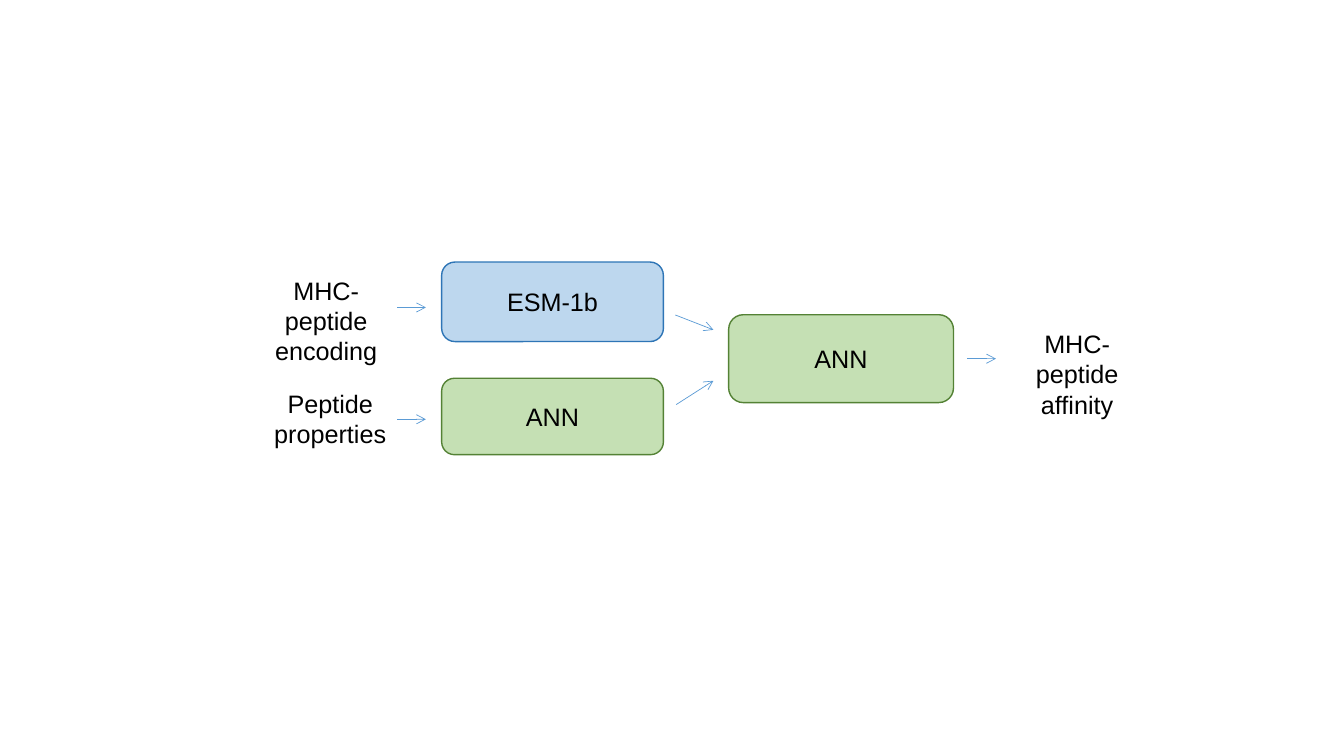
from lxml.etree import SubElement
from pptx import Presentation
from pptx.dml.color import RGBColor
from pptx.enum.shapes import MSO_CONNECTOR, MSO_SHAPE
from pptx.enum.text import MSO_ANCHOR, MSO_AUTO_SIZE, PP_ALIGN
from pptx.oxml.ns import qn
from pptx.util import Pt

COLORS = {
    "text": "000000",
    "arrow": "5B9BD5",
    "language_fill": "BDD7EE",
    "language_line": "2E75B6",
    "network_fill": "C5E0B4",
    "network_line": "548235",
}


def color(name):
    return RGBColor.from_string(COLORS[name])


def write_text(frame, text, size=18, font="Arial", ink="text", align=PP_ALIGN.CENTER, anchor=MSO_ANCHOR.TOP):
    frame.word_wrap = True
    frame.vertical_anchor = anchor
    para = frame.paragraphs[0]
    para.alignment = align
    span = para.add_run()
    span.text = text
    span.font.size = Pt(size)
    span.font.name = font
    span.font.color.rgb = color(ink)


class Diagram:
    box_line = 1
    arrow_line = 0.5

    def __init__(self, slide):
        self.slide = slide

    def model(self, text, kind, left, top, width, height):
        box = self.slide.shapes.add_shape(
            MSO_SHAPE.ROUNDED_RECTANGLE, Pt(left), Pt(top), Pt(width), Pt(height))
        box.shadow.inherit = False
        box.fill.solid()
        box.fill.fore_color.rgb = color(kind + "_fill")
        box.line.color.rgb = color(kind + "_line")
        box.line.width = Pt(self.box_line)
        write_text(box.text_frame, text, anchor=MSO_ANCHOR.MIDDLE)

    def label(self, text, left, top, width=116, height=51):
        box = self.slide.shapes.add_textbox(Pt(left), Pt(top), Pt(width), Pt(height))
        write_text(box.text_frame, text)
        box.text_frame.auto_size = MSO_AUTO_SIZE.SHAPE_TO_FIT_TEXT

    def arrow(self, left, top, right, bottom):
        connector = self.slide.shapes.add_connector(
            MSO_CONNECTOR.STRAIGHT, Pt(left), Pt(top), Pt(right), Pt(bottom))
        connector.line.color.rgb = color("arrow")
        connector.line.width = Pt(self.arrow_line)
        SubElement(connector.line._get_or_add_ln(), qn("a:tailEnd"), type="arrow")
        SubElement(connector._element.spPr, qn("a:effectLst"))


deck = Presentation()
deck.slide_width, deck.slide_height = Pt(960), Pt(540)
page = Diagram(deck.slides.add_slide(deck.slide_layouts[6]))

page.model("ESM-1b", "language", 315.5, 187.2, 158.4, 56.8)
page.model("ANN", "network", 315.5, 270.2, 158.4, 54.6)
page.model("ANN", "network", 520.5, 224.8, 160.6, 62.8)

page.arrow(482.4, 225, 509.6, 235.6)
page.arrow(483, 289, 509.6, 272)
for start, middle in ((283.6, 219.6), (283.6, 299.5), (690.8, 256.2)):
    page.arrow(start, middle, start + 20.6, middle)

page.label("MHC-peptide encoding", 175, 193)
page.label("Peptide properties", 176.4, 274, width=119)
page.label("MHC-peptide affinity", 711.4, 231)

deck.save("out.pptx")
